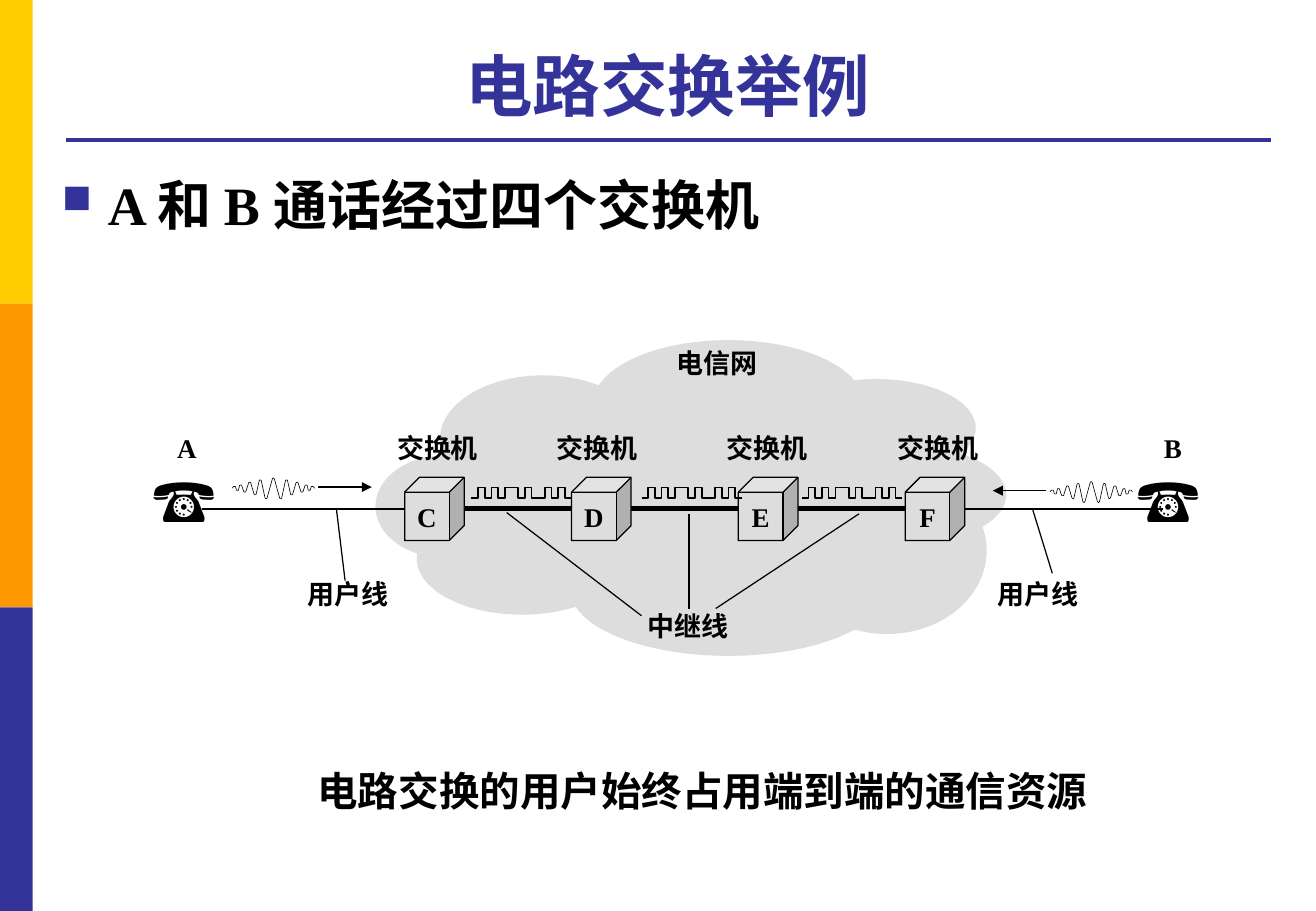
from pptx import Presentation
from pptx import util as u
from pptx.dml.color import RGBColor
from pptx.enum import shapes, text
from pptx.oxml import ns, xmlchemy

COLORS = {"yellow": "FFCC00", "orange": "FF9900", "indigo": "333399",
          "cloud": "DDDDDD", "ink": "000000"}
FONT = {"name": "Times New Roman", "bold": True}
COLUMNS, ROWS = 108.3, 75  # square grid cells, ten to the inch
CELL = u.Inches(0.1)
ALIGN, ANCHOR, SHAPE = text.PP_ALIGN, text.MSO_ANCHOR, shapes.MSO_SHAPE


def cells(*values):
    return [round(value * CELL) for value in values]


def apply(target, formats):
    for name, value in formats.items():
        setattr(target, name, value)


class SlideBuilder:
    def __init__(self, slide):
        self.slide = slide

    def color(self, name):
        return RGBColor.from_string(COLORS[name])

    def letter(self, shape, words, size, color="ink", align=ALIGN.LEFT, **frame):
        apply(shape.text_frame, {"word_wrap": True, **frame})
        paragraph = shape.text_frame.paragraphs[0]
        paragraph.alignment = align
        run = paragraph.add_run()
        run.text = words
        apply(run.font, {**FONT, "size": u.Pt(size)})
        run.font.color.rgb = self.color(color)
        return paragraph

    def title(self, box, words):
        title = self.slide.shapes.title
        apply(title, dict(zip(("left", "top", "width", "height"), cells(*box))))
        self.letter(title, words, 40, "indigo", ALIGN.CENTER,
                    vertical_anchor=ANCHOR.BOTTOM)

    def label(self, box, words, size=16, **formats):
        textbox = self.slide.shapes.add_textbox(*cells(*box))
        return self.letter(textbox, words, size, **formats)

    def bullet(self, box, words):
        paragraph = self.label(box, words, 32)
        paragraph.line_spacing = 1.1
        properties = paragraph._p.get_or_add_pPr()
        indent = u.Inches(0.38)
        properties.set("marL", str(indent))
        properties.set("indent", str(-indent))
        color = xmlchemy.OxmlElement("a:buClr")
        properties.append(color)
        for parent, tag, name, value in (
                (color, "a:srgbClr", "val", COLORS["indigo"]),
                (properties, "a:buSzPct", "val", "75000"),
                (properties, "a:buChar", "char", "■")):
            element = xmlchemy.OxmlElement(tag)
            element.set(name, value)
            parent.append(element)

    def block(self, kind, box, fill, outline=None):
        block = self.slide.shapes.add_shape(kind, *cells(*box))
        block.shadow.inherit = False
        block.fill.solid()
        block.fill.fore_color.rgb = self.color(fill)
        if outline:
            self.stroke(block, outline)
        else:
            block.line.fill.background()
        return block

    def stroke(self, shape, width, color="ink"):
        shape.line.color.rgb = self.color(color)
        shape.line.width = u.Pt(width)

    def line(self, start, end, width=0.75, color="ink", arrow=False):
        line = self.slide.shapes.add_connector(
            shapes.MSO_CONNECTOR.STRAIGHT, *cells(*start, *end))
        self.stroke(line, width, color)
        properties = line.element.spPr
        properties.append(xmlchemy.OxmlElement("a:effectLst"))
        if arrow:
            head = xmlchemy.OxmlElement("a:tailEnd")
            head.set("type", "triangle")
            properties.find(ns.qn("a:ln")).append(head)

    def curve(self, points, width):
        start, *rest = [cells(*point) for point in points]
        builder = self.slide.shapes.build_freeform(*start)
        builder.add_line_segments(rest, close=False)
        curve = builder.convert_to_shape()
        curve.shadow.inherit = False
        curve.fill.background()
        self.stroke(curve, width)


# Rising half of the voice signal: offset along the wave and height of each crest
CRESTS = [(0.2, -0.15), (0.45, 0.17), (0.7, -0.27), (1.05, 0.32), (1.45, -0.5),
          (1.9, 0.55), (2.32, -0.7), (2.8, 0.88)]
VOICE_LENGTH = 6.8
# Steps at which the digital signal switches level
PULSE_EDGES = [1, 2, 3, 4, 5, 7, 8, 9, 11, 12, 13, 14]
PULSE_STEP, PULSE_END, PULSE_HEIGHT = 0.55, 15, 0.85


def voice_wave(left, middle):
    mirrored = [(VOICE_LENGTH - x, y) for x, y in reversed(CRESTS)]
    points = [(left, middle)]
    for x, y in CRESTS + [(VOICE_LENGTH / 2, -0.85)] + mirrored:
        points += [(left + x + shift, middle + y * share)
                   for shift, share in ((-0.08, 0.93), (0, 1), (0.08, 0.93))]
    return points + [(left + VOICE_LENGTH, middle)]


def pulse_train(left, base):
    points, level = [(left, base)], base
    for edge in PULSE_EDGES:
        x = left + edge * PULSE_STEP
        points.append((x, level))
        level = base - PULSE_HEIGHT if level == base else base
        points.append((x, level))
    return points + [(left + PULSE_END * PULSE_STEP, base)]


def main():
    deck = Presentation()
    deck.slide_width, deck.slide_height = cells(COLUMNS, ROWS)
    page = SlideBuilder(deck.slides.add_slide(deck.slide_layouts[5]))

    # Side bands, title and opening point
    band = ROWS / 3
    for row, color in enumerate(("yellow", "orange", "indigo")):
        page.block(SHAPE.RECTANGLE, (0, row * band, 2.7, band), color)
    page.line((5.4, 11.5), (104.6, 11.5), 2.25, "indigo")
    page.title((5.4, 2.1, 99.1, 8.7), "电路交换举例")
    page.bullet((4.1, 13.1, 99.1, 6.3), "A 和 B 通话经过四个交换机")

    # Telecom network cloud
    for puff in ((48.8, 28, 22.3, 10.5), (36.2, 30.9, 17, 10.5),
                 (30.9, 37.5, 11.3, 8.4), (34.3, 41.4, 17.3, 9.2),
                 (46.9, 43, 26.1, 11), (63.9, 31.2, 16.4, 8.1),
                 (66.4, 36.7, 16.4, 8.1), (64.8, 38.5, 16.4, 13.7),
                 (40.3, 34.3, 33.7, 13.7)):
        page.block(SHAPE.OVAL, puff, "cloud")

    # Trunk, subscriber lines and telephones
    wire = 41.9
    page.line((35.8, wire), (76.2, wire), 3)
    for phone in (11.6, 92.6):
        page.label((phone, 37.5, 8, 7.1), "☎", 36)
    for start, end in ((16.6, 34.1), (77, 95.7)):
        page.line((start, wire), (end, wire))

    # Switches
    for index, name in enumerate("CDEF"):
        switch = page.block(SHAPE.CUBE, (33.3 + index * 13.73, 39.3, 4.9, 5.2),
                            "cloud", 0.75)
        page.letter(switch, name, 16, align=ALIGN.CENTER, word_wrap=False,
                    vertical_anchor=ANCHOR.MIDDLE)

    # Labels
    for words, places in {
            "A": [(13.6, 35)], "B": [(94.8, 35)], "电信网": [(54.7, 28)],
            "交换机": [(31.7, 35), (44.8, 35), (58.8, 35), (72.9, 35)],
            "中继线": [(52.3, 49.7)],
            "用户线": [(24.3, 47.1), (81.1, 47.1)]}.items():
        width = 3.6 if len(words) == 1 else 8.8
        for left, top in places:
            page.label((left, top, width, 3.7), words, word_wrap=False)

    # Leaders from the wires to their labels
    for start, end in (((41.7, 42.2), (52.8, 50.7)), ((56.7, 42.3), (56.7, 50.1)),
                       ((70.7, 42.3), (58.9, 50.1)), ((27.7, 42), (28.4, 47.8)),
                       ((85, 42), (86.6, 47.2))):
        page.line(start, end)

    # Voice signals with direction arrows, and digital signals between switches
    for left, middle, start, end in ((19.1, 40.2, 26.2, 30.6),
                                     (86.4, 40.5, 86.1, 81.7)):
        page.curve(voice_wave(left, middle), 0.38)
        page.line((start, middle - 0.1), (end, middle - 0.1), arrow=True)
    for left in (38.8, 52.8, 66):
        page.curve(pulse_train(left, 41), 1)

    # Conclusion
    page.label((15.5, 62.6, 84.6, 5), "电路交换的用户始终占用端到端的通信资源", 24,
               align=ALIGN.CENTER)
    deck.save("out.pptx")


if __name__ == "__main__":
    main()
